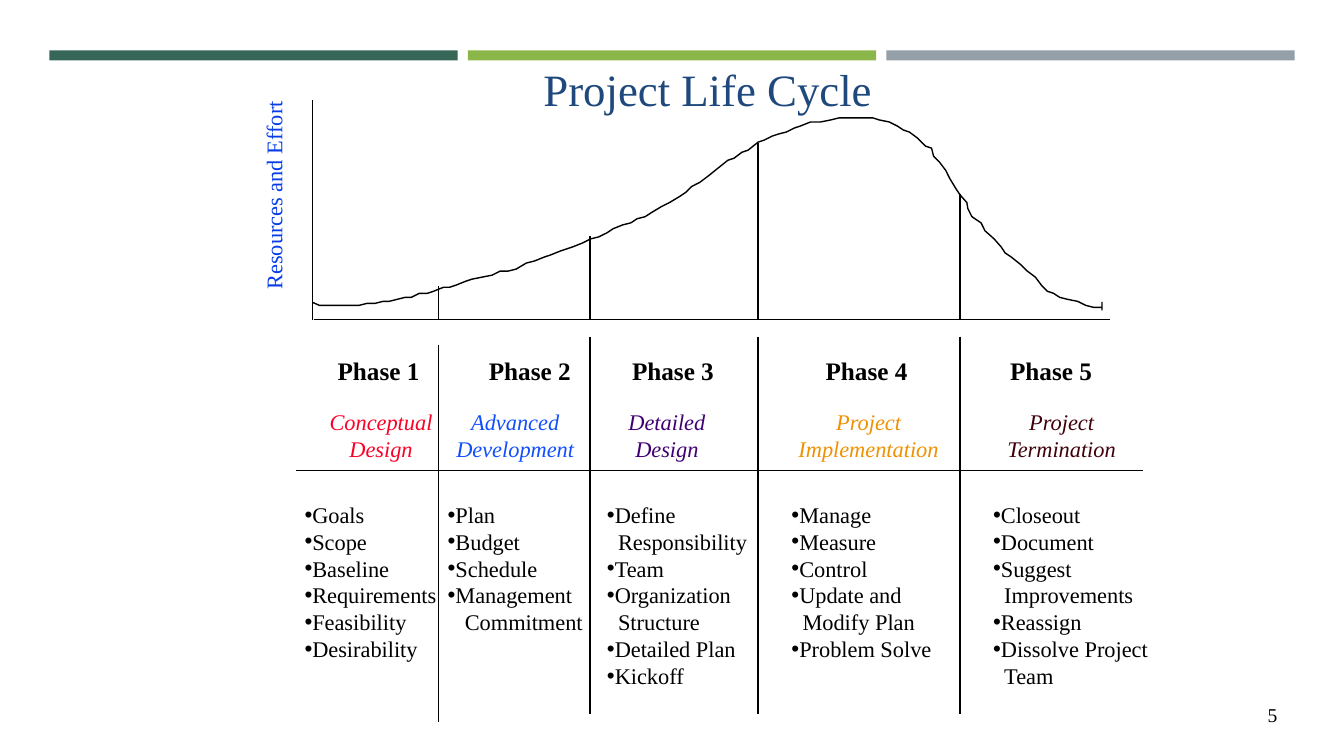
"""Build the Project Life Cycle slide."""
from dataclasses import dataclass
from typing import Any, NamedTuple

from pptx import Presentation
from pptx import util as u
from pptx.dml.color import RGBColor
from pptx.enum import shapes, text
from pptx.oxml.ns import qn
from lxml import etree

PX = 9144
FONT = "Times New Roman"
BLACK = RGBColor(0x00, 0x00, 0x00)
TITLE_BLUE = RGBColor(0x1F, 0x49, 0x7D)
AXIS_BLUE = RGBColor(0x06, 0x3D, 0xE8)
GREEN = RGBColor(0x36, 0x66, 0x57)
LIME = RGBColor(0x8B, 0xB6, 0x49)
GRAY = RGBColor(0x95, 0x9F, 0xA7)
RED = RGBColor(0xFC, 0x01, 0x28)
BLUE = RGBColor(0x11, 0x4F, 0xFB)
PURPLE = RGBColor(0x40, 0x00, 0x73)
ORANGE = RGBColor(0xEF, 0x91, 0x00)
MAROON = RGBColor(0x3F, 0x00, 0x0B)

LEFT = text.PP_ALIGN.LEFT
CENTER = text.PP_ALIGN.CENTER
RIGHT = text.PP_ALIGN.RIGHT
PLAIN = {"name": FONT, "size": u.Pt(16), "bold": False, "italic": False}
HEADING = PLAIN | {"size": u.Pt(18), "bold": True}
STAGE = PLAIN | {"italic": True}
TITLE = PLAIN | {"size": u.Pt(32)}
NUMBER = PLAIN | {"size": u.Pt(14)}


class Box(NamedTuple):
    x: int
    y: int
    w: int
    h: int


class Line(NamedTuple):
    x1: int
    y1: int
    x2: int
    y2: int


class Divider(NamedTuple):
    x: int
    curve_y: int
    table_y: int


@dataclass
class Phase:
    heading_x: int
    stage_x: int
    stage_w: int
    stage: str
    color: RGBColor
    list_x: int
    list_w: int
    items: tuple[str, ...]
    hang: int = 11


PHASES = (
    Phase(325, 316, 124, "Conceptual\nDesign", RED, 292, 153,
          ("Goals", "Scope", "Baseline", "Requirements", "Feasibility", "Desirability")),
    Phase(475, 442, 138, "Advanced\nDevelopment", BLUE, 434, 156,
          ("Plan", "Budget", "Schedule", "Management\nCommitment"), 17),
    Phase(617, 613, 97, "Detailed\nDesign", PURPLE, 592, 161,
          ("Define\nResponsibility", "Team", "Organization\nStructure", "Detailed Plan", "Kickoff")),
    Phase(809, 781, 161, "Project\nImplementation", ORANGE, 775, 161,
          ("Manage", "Measure", "Control", "Update and\nModify Plan", "Problem Solve")),
    Phase(992, 988, 130, "Project\nTermination", MAROON, 975, 176,
          ("Closeout", "Document", "Suggest\nImprovements", "Reassign", "Dissolve Project\nTeam")),
)
DIVIDERS = (Divider(435, 284, 342), Divider(585, 234, 334),
            Divider(752, 142, 334), Divider(952, 192, 334))
RULES = (Line(311, 317, 1101, 317), Line(310, 317, 310, 99), Line(294, 467, 1134, 467))
CURVE = (
    (310, 300), (317, 303), (356, 303), (364, 301), (372, 301), (380, 299), (386, 299),
    (394, 297), (402, 295), (408, 295), (416, 291), (424, 291), (430, 289), (440, 285),
    (446, 285), (452, 283), (462, 279), (468, 277), (478, 275), (488, 273), (496, 269),
    (504, 269), (512, 267), (522, 261), (530, 259), (540, 255), (546, 253), (556, 249),
    (568, 245), (578, 241), (586, 237), (594, 235), (602, 231), (608, 227), (618, 223),
    (626, 221), (632, 217), (640, 215), (646, 211), (656, 205), (664, 201), (674, 195),
    (680, 191), (686, 185), (694, 181), (702, 175), (712, 167), (722, 159), (728, 157),
    (736, 151), (742, 149), (752, 141), (758, 139), (766, 135), (772, 133), (780, 131),
    (788, 127), (794, 125), (804, 121), (814, 121), (824, 119), (832, 117), (866, 117),
    (872, 119), (882, 121), (890, 125), (896, 129), (902, 131), (910, 137), (918, 145),
    (924, 147), (926, 155), (932, 161), (938, 169), (942, 177), (948, 187), (952, 193),
    (959, 201), (960, 207), (964, 215), (973, 221), (977, 229), (986, 237), (993, 245),
    (997, 251), (1003, 255), (1013, 263), (1019, 269), (1027, 275), (1033, 283),
    (1039, 289), (1045, 291), (1051, 295), (1059, 297), (1069, 299), (1077, 303),
    (1085, 305), (1093, 305), (1093, 300), (1093, 308),
)


def place(sp: Any, box: Box) -> None:
    for name, value in zip(("left", "top", "width", "height"), box):
        setattr(sp, name, value * PX)


def add_paragraph(tf: Any, index: int, words: str, fmt: dict, color: RGBColor, align: Any) -> Any:
    p = tf.paragraphs[0] if index == 0 else tf.add_paragraph()
    p.alignment = align
    r = p.add_run()
    r.text = words
    for name, value in fmt.items():
        setattr(r.font, name, value)
    r.font.color.rgb = color
    return p


def add_label(s: Any, box: Box, words: str, fmt: dict, color: RGBColor, align: Any = LEFT) -> Any:
    sp = s.shapes.add_textbox(*(value * PX for value in box))
    sp.text_frame.word_wrap = False
    for i, line in enumerate(words.split("\n")):
        add_paragraph(sp.text_frame, i, line, fmt, color, align)
    return sp


def fill_list(sp: Any, phase: Phase) -> None:
    lines = [(part, n == 0) for item in phase.items for n, part in enumerate(item.split("\n"))]
    place(sp, Box(phase.list_x, 492, phase.list_w, 9 + 27 * len(lines)))
    tf = sp.text_frame
    tf.word_wrap = False
    tf.auto_size = text.MSO_AUTO_SIZE.NONE
    for i, (words, bulleted) in enumerate(lines):
        p = add_paragraph(tf, i, words, PLAIN, BLACK, LEFT)
        p.space_before = u.Pt(0)
        pPr = p._p.get_or_add_pPr()
        pPr.set("marL", str(0 if bulleted else phase.hang * PX))
        pPr.set("indent", "0")
        bullet = etree.SubElement(pPr, qn("a:buChar" if bulleted else "a:buNone"))
        if bulleted:
            bullet.set("char", "•")


def add_line(s: Any, line: Line) -> None:
    cx = s.shapes.add_connector(shapes.MSO_CONNECTOR.STRAIGHT, *(value * PX for value in line))
    cx.line.color.rgb = BLACK
    cx.line.width = u.Pt(1)
    etree.SubElement(cx._element.spPr, qn("a:effectLst"))


def add_bar(s: Any, box: Box, color: RGBColor) -> None:
    sp = s.shapes.add_shape(shapes.MSO_SHAPE.RECTANGLE, *(value * PX for value in box))
    sp.shadow.inherit = False
    sp.fill.solid()
    sp.fill.fore_color.rgb = color
    sp.line.fill.background()


def add_curve(s: Any) -> None:
    builder = s.shapes.build_freeform(*CURVE[0], scale=PX)
    builder.add_line_segments(CURVE[1:], close=False)
    sp = builder.convert_to_shape()
    sp.shadow.inherit = False
    sp.fill.background()
    sp.line.color.rgb = BLACK
    sp.line.width = u.Pt(1)


def main() -> None:
    prs = Presentation()
    prs.slide_width, prs.slide_height = 1333 * PX, 750 * PX
    layout = prs.slide_layouts[1]
    s = prs.slides.add_slide(layout)

    for i, color in enumerate((GREEN, LIME, GRAY)):
        add_bar(s, Box(49 + 415 * i, 50, 405, 10), color)

    title = s.shapes.title
    place(title, Box(277, 25, 850, 125))
    title.text_frame.vertical_anchor = text.MSO_ANCHOR.MIDDLE
    title.text_frame.auto_size = text.MSO_AUTO_SIZE.NONE
    add_paragraph(title.text_frame, 0, "Project Life Cycle", TITLE, TITLE_BLUE, CENTER)

    axis = add_label(s, Box(167, 175, 208, 36), "Resources and Effort", PLAIN, AXIS_BLUE)
    axis.rotation = 270
    add_curve(s)
    for line in RULES:
        add_line(s, line)
    for d in DIVIDERS:
        add_line(s, Line(d.x, d.curve_y, d.x, 316))
        add_line(s, Line(d.x, d.table_y, d.x, d.table_y + 374))

    body = s.placeholders[1]
    for i, phase in enumerate(PHASES):
        add_label(s, Box(phase.heading_x, 348, 102, 40), f"Phase {i + 1}", HEADING, BLACK)
        add_label(s, Box(phase.stage_x, 400, phase.stage_w, 64), phase.stage, STAGE, phase.color, CENTER)
        if i:
            s.shapes.clone_placeholder(layout.placeholders[1])
            body = s.shapes[-1]
        fill_list(body, phase)

    number = add_label(s, Box(960, 697, 307, 38), "5", NUMBER, BLACK, RIGHT)
    tf = number.text_frame
    tf.word_wrap = True
    for side in ("left", "top", "right", "bottom"):
        setattr(tf, f"margin_{side}", 0)
    prs.save("out.pptx")


if __name__ == "__main__":
    main()
